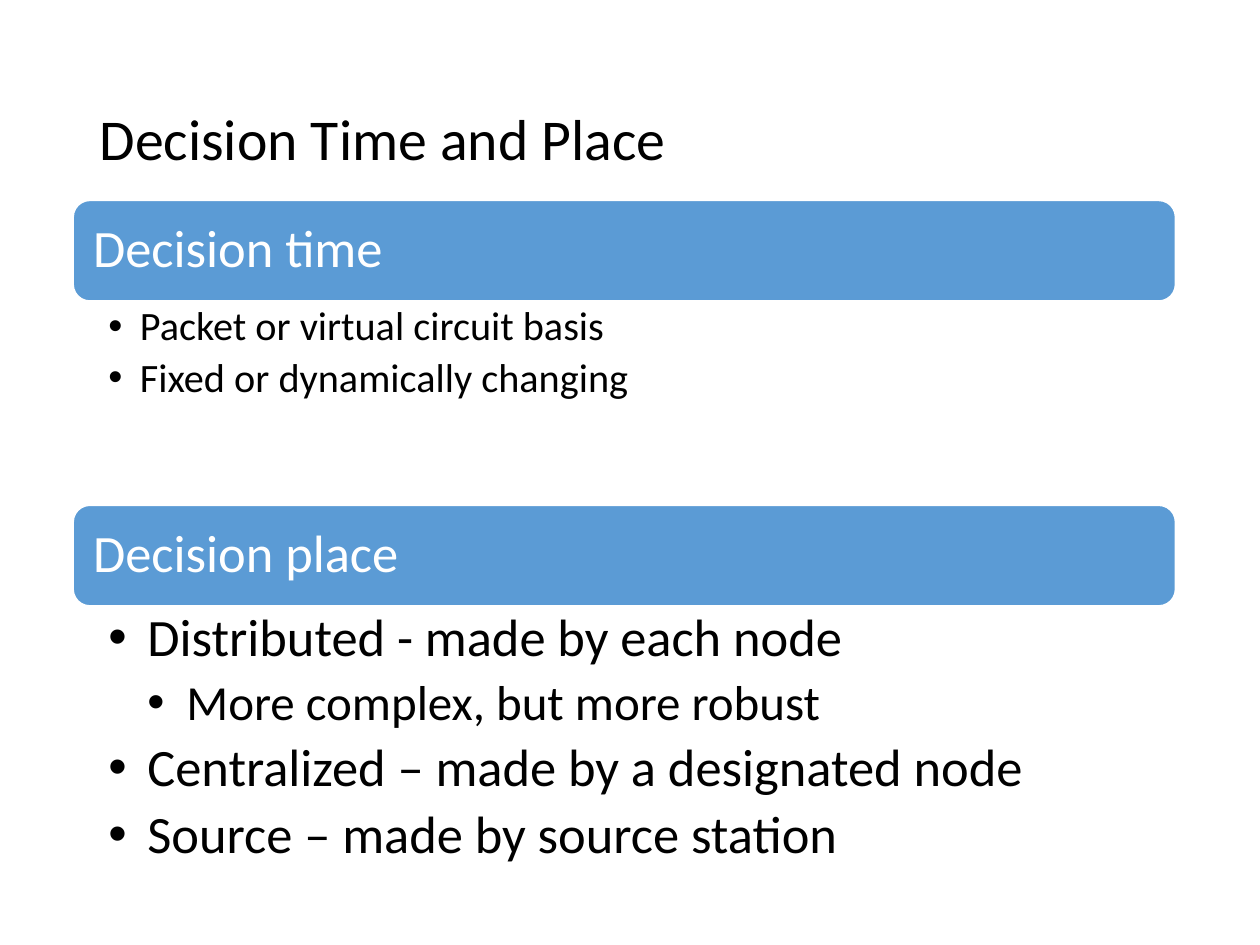
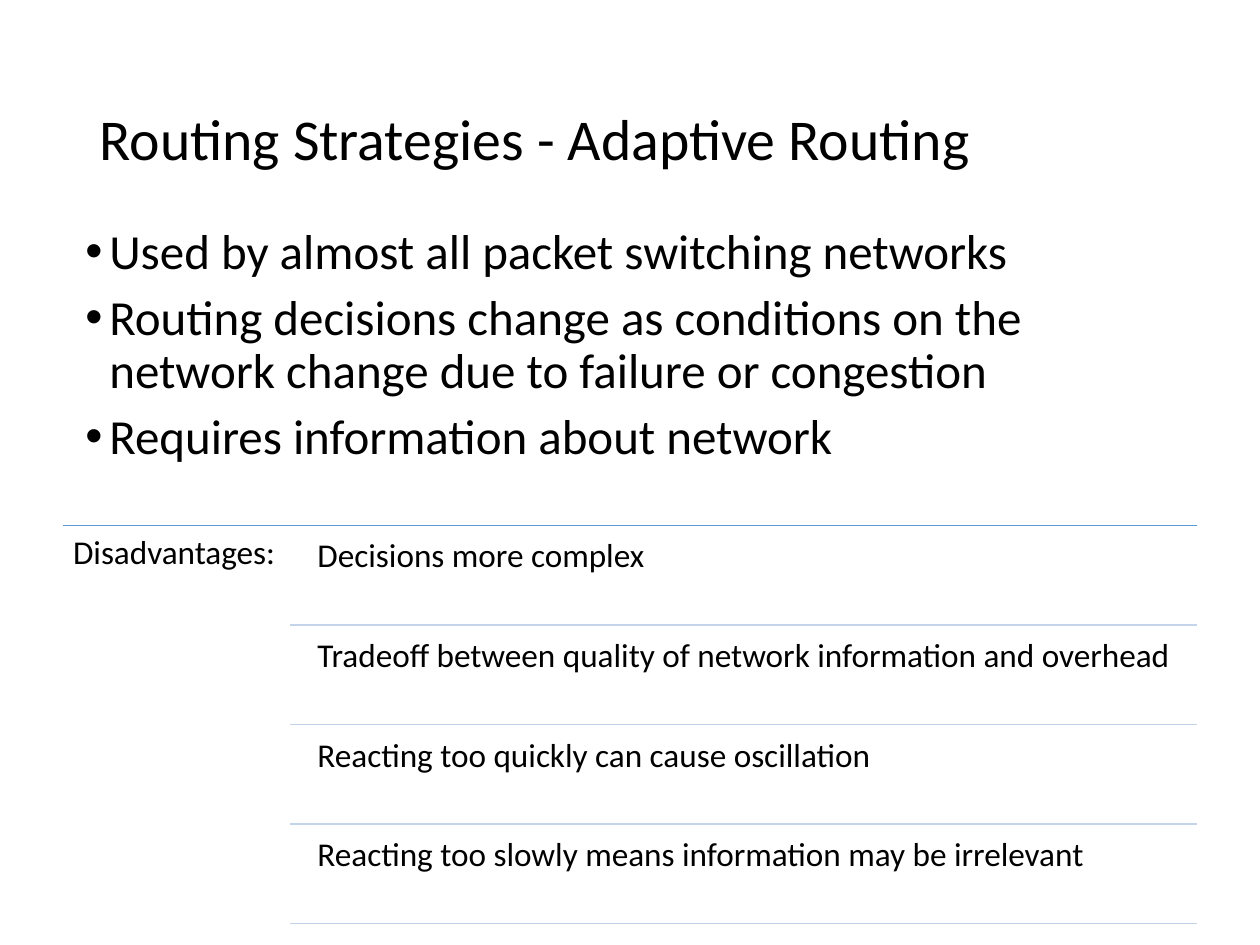
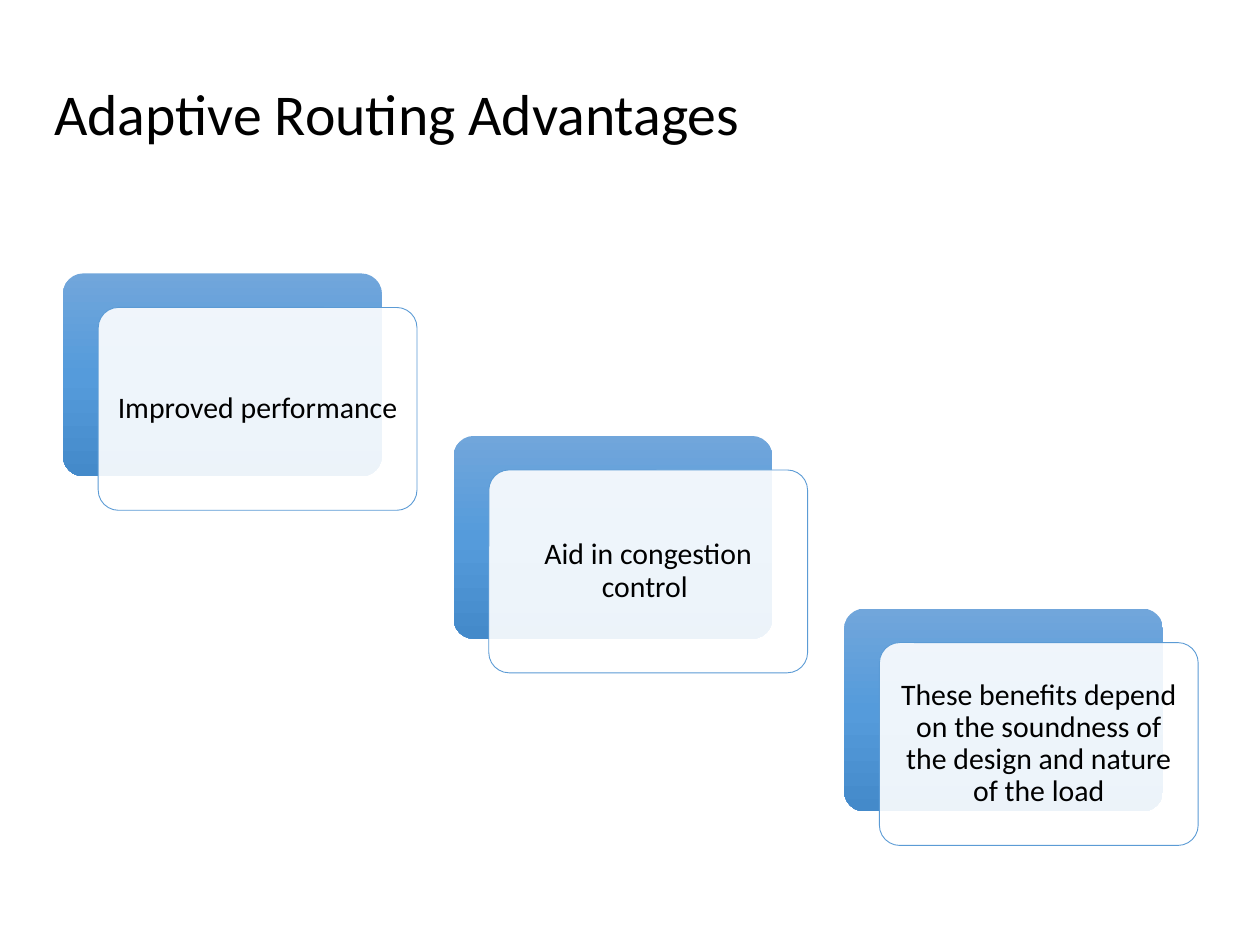
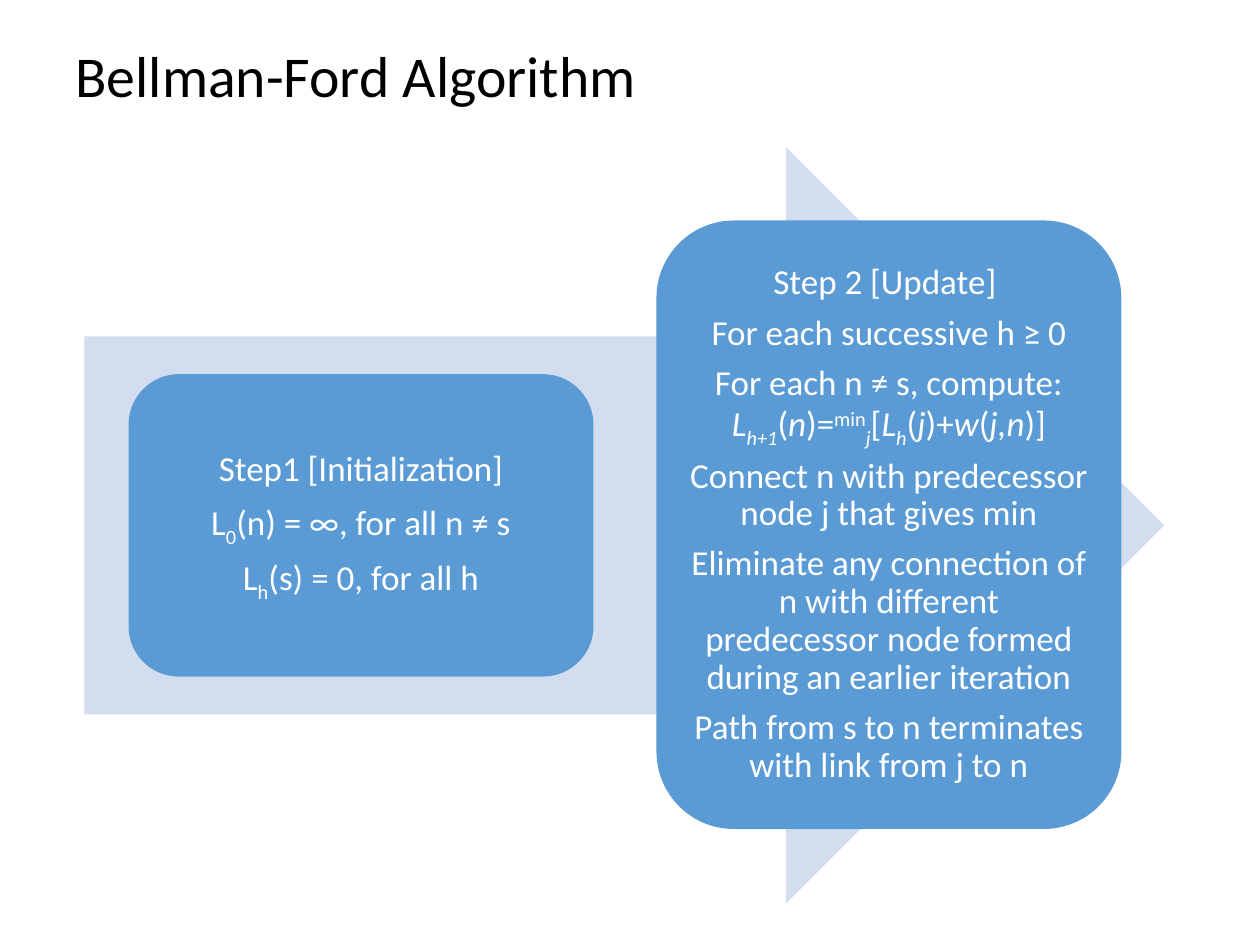
from lxml import etree
from pptx import Presentation
from pptx import util as u
from pptx.dml.color import RGBColor
from pptx.enum import shapes, text
from pptx.oxml import ns

FONT = "Calibri"
BLACK = RGBColor(0x00, 0x00, 0x00)
WHITE = RGBColor(0xFF, 0xFF, 0xFF)
BLUE = RGBColor(0x5B, 0x9B, 0xD5)
PALE_BLUE = RGBColor(0xD2, 0xDE, 0xEF)
RULE_BLUE = RGBColor(0xC4, 0xD5, 0xEB)
CARD_STOPS = [
    (0, RGBColor(0x71, 0xA6, 0xDB)),
    (50, RGBColor(0x55, 0x9B, 0xDB)),
    (100, RGBColor(0x44, 0x8A, 0xCA)),
]
LEFT, CENTER = text.PP_ALIGN.LEFT, text.PP_ALIGN.CENTER
TOP, MIDDLE = text.MSO_ANCHOR.TOP, text.MSO_ANCHOR.MIDDLE
ROUND = shapes.MSO_SHAPE.ROUNDED_RECTANGLE
ARROW = shapes.MSO_SHAPE.RIGHT_ARROW


class Deck:
    def __init__(self):
        self.prs = Presentation()
        self.prs.slide_width, self.prs.slide_height = u.Inches(10), u.Inches(7.5)
        self.s = None

    def slide(self, title, box):
        self.s = self.prs.slides.add_slide(self.prs.slide_layouts[5])
        sp = self.s.shapes.title
        sp.left, sp.top, sp.width, sp.height = map(u.Inches, box)
        self.add_text(sp, [title], 33, (0.1, 0.05, 0.1, 0.05), MIDDLE)

    def frame(self, sp, anchor, insets):
        tf = sp.text_frame
        tf.word_wrap = True
        tf.auto_size = text.MSO_AUTO_SIZE.NONE
        tf.vertical_anchor = anchor
        tf.margin_left, tf.margin_top, tf.margin_right, tf.margin_bottom = map(u.Inches, insets)

    def paragraph(self, tf, runs, size, color=BLACK, align=LEFT, before=0, after=0,
                  indent=0, level=0, first=False):
        p = tf.paragraphs[0] if first else tf.add_paragraph()
        p.alignment, p.line_spacing = align, 0.9
        p.space_before, p.space_after = u.Pt(before), u.Pt(size * after)
        if indent:
            p.level = level
            pPr = p._p.get_or_add_pPr()
            pPr.set("marL", str(u.Inches(indent * max(level, 1))))
            pPr.set("indent", str(-u.Inches(indent)))
            etree.SubElement(pPr, ns.qn("a:buFont")).set("typeface", "Arial")
            etree.SubElement(pPr, ns.qn("a:buChar")).set("char", "•")
        for run in [(runs,)] if isinstance(runs, str) else runs:
            words, italic, base = (*run, False, 0)[:3]
            r = p.add_run()
            r.text = words
            r.font.name, r.font.size, r.font.italic = FONT, u.Pt(size), italic
            r.font.color.rgb = color
            if base:
                r._r.get_or_add_rPr().set("baseline", str(base * 1000))

    def add_text(self, sp, paragraphs, size, insets, anchor=TOP, **style):
        self.frame(sp, anchor, insets)
        for i, runs in enumerate(paragraphs):
            self.paragraph(sp.text_frame, runs, size, first=i == 0, **style)

    def textbox(self, box):
        return self.s.shapes.add_textbox(*map(u.Inches, box))

    def shape(self, kind, box, fill=None, line=None, width=1, adj=None):
        sp = self.s.shapes.add_shape(kind, *map(u.Inches, box))
        sp.shadow.inherit = False
        if adj is not None:
            sp.adjustments[0] = adj
        if fill is not None:
            sp.fill.solid()
            sp.fill.fore_color.rgb = fill
        if line is None:
            sp.line.fill.background()
        else:
            sp.line.color.rgb, sp.line.width = line, u.Pt(width)
        return sp

    def gradient(self, sp, stops):
        sp.fill.gradient()
        sp.fill.gradient_angle = 270
        gs_list = sp._element.spPr.find(".//" + ns.qn("a:gsLst"))
        for gs in list(gs_list):
            gs_list.remove(gs)
        for pos, color in stops:
            gs = etree.SubElement(gs_list, ns.qn("a:gs"), pos=str(pos * 1000))
            etree.SubElement(gs, ns.qn("a:srgbClr"), val=str(color))

    def opacity(self, sp, percent):
        clr = sp._element.spPr.find(ns.qn("a:solidFill"))[0]
        etree.SubElement(clr, ns.qn("a:alpha"), val=str(percent * 1000))

    def rule(self, x1, x2, y, color, width):
        cx = self.s.shapes.add_connector(
            shapes.MSO_CONNECTOR.STRAIGHT, *map(u.Inches, (x1, y, x2, y)))
        cx.line.color.rgb, cx.line.width = color, u.Pt(width)
        etree.SubElement(cx._element.spPr, ns.qn("a:effectLst"))

    def band(self, label, y):
        sp = self.shape(ROUND, (0.58, y, 8.75, 0.8), BLUE, WHITE)
        self.add_text(sp, [label], 30, [0.12] * 4, MIDDLE, color=WHITE, after=0.35)

    def card(self, label, x, y):
        size = (2.53, 1.61)
        self.gradient(self.shape(ROUND, (x, y, *size), adj=0.1), CARD_STOPS)
        sp = self.shape(ROUND, (x + 0.28, y + 0.27, *size), WHITE, BLUE, 0.5, 0.1)
        self.opacity(sp, 90)
        self.add_text(sp, [label], 17, [0.07] * 4, MIDDLE, align=CENTER, after=0.35)

    def step(self, paragraphs, box):
        sp = self.shape(ROUND, box, BLUE)
        self.add_text(sp, paragraphs, 20, [0.08] * 4, MIDDLE,
                      color=WHITE, align=CENTER, after=0.35)


def decision_slide(d):
    d.slide("Decision Time and Place", (0.69, 0.4, 8.62, 1.45))
    insets = (0.28, 0.04, 0.23, 0.04)
    d.band("Decision time", 1.59)
    d.add_text(d.textbox((0.58, 2.39, 8.75, 1.62)),
               ["Packet or virtual circuit basis", "Fixed or dynamically changing"],
               23, insets, after=0.2, indent=0.25, level=1)
    d.band("Decision place", 4.01)
    sp = d.textbox((0.58, 4.81, 8.75, 2.18))
    d.frame(sp, TOP, insets)
    places = [
        ("Distributed - made by each node", 30, 1),
        ("More complex, but more robust", 28, 2),
        ("Centralized – made by a designated node", 30, 1),
        ("Source – made by source station", 30, 1),
    ]
    for i, (words, size, level) in enumerate(places):
        d.paragraph(sp.text_frame, words, size, after=0.2, indent=0.31,
                    level=level, first=i == 0)


def adaptive_slide(d):
    d.slide("Routing Strategies - Adaptive Routing", (0.69, 0.4, 8.62, 1.45))
    d.add_text(d.textbox((0.58, 1.75, 9, 2.33)), [
        "Used by almost all packet switching networks",
        "Routing decisions change as conditions on the network change due to failure or congestion",
        "Requires information about network",
    ], 28, (0.1, 0.05, 0.1, 0.05), before=7.5, indent=0.19)

    top, pitch = 4.17, 0.79
    insets = [0.08] * 4
    d.rule(0.5, 9.5, top, BLUE, 0.5)
    d.add_text(d.textbox((0.5, top, 1.8, 3.19)), ["Disadvantages:"], 19, insets, after=0.35)
    drawbacks = [
        "Decisions more complex",
        "Tradeoff between quality of network information and overhead",
        "Reacting too quickly can cause oscillation",
        "Reacting too slowly means information may be irrelevant",
    ]
    for i, words in enumerate(drawbacks):
        y = top + i * pitch
        d.add_text(d.textbox((2.44, y + 0.03, 7.07, 0.75)), [words], 19, insets, after=0.35)
        d.rule(2.3, 9.5, y + pitch, RULE_BLUE, 1)


def advantages_slide(d):
    d.slide("Adaptive Routing Advantages", (0.33, 0.3, 9.42, 1.25))
    cards = [
        ("Improved performance", 2.17),
        ("Aid in congestion control ", 3.46),
        ("These benefits depend on the soundness of the design and nature of the load", 4.83),
    ]
    for i, (words, y) in enumerate(cards):
        d.card(words, 0.5 + i * 3.1, y)


def bellman_ford_slide(d):
    d.slide("Bellman-Ford Algorithm", (0.5, 0, 9, 1.25))
    d.shape(ARROW, (0.67, 1.17, 8.57, 6), PALE_BLUE)
    d.step([
        "Step1 [Initialization]",
        [("L",), ("0", False, -25), ("(n) = ∞, for all n ≠ s",)],
        [("L",), ("h", False, -25), ("(s) = 0, for all h",)],
    ], (1.02, 2.97, 3.69, 2.4))
    formula = [
        ("For each n ≠ s, compute: ",),
        ("L", True), ("h+1", True, -25), ("(",), ("n", True), (")=",),
        ("min", False, 30), ("j", True, -25), ("[",),
        ("L", True), ("h", True, -25), ("(",), ("j", True), (")+",),
        ("w", True), ("(",), ("j,n", True), (")]",),
    ]
    d.step([
        "Step 2 [Update] ",
        "For each successive h ≥ 0",
        formula,
        "Connect n with predecessor node j that gives min",
        "Eliminate any connection of n with different predecessor node formed "
        "during an earlier iteration",
        "Path from s to n terminates with link from j to n",
    ], (5.21, 1.75, 3.69, 4.83))


def main():
    d = Deck()
    decision_slide(d)
    adaptive_slide(d)
    advantages_slide(d)
    bellman_ford_slide(d)
    d.prs.save("out.pptx")


if __name__ == "__main__":
    main()
